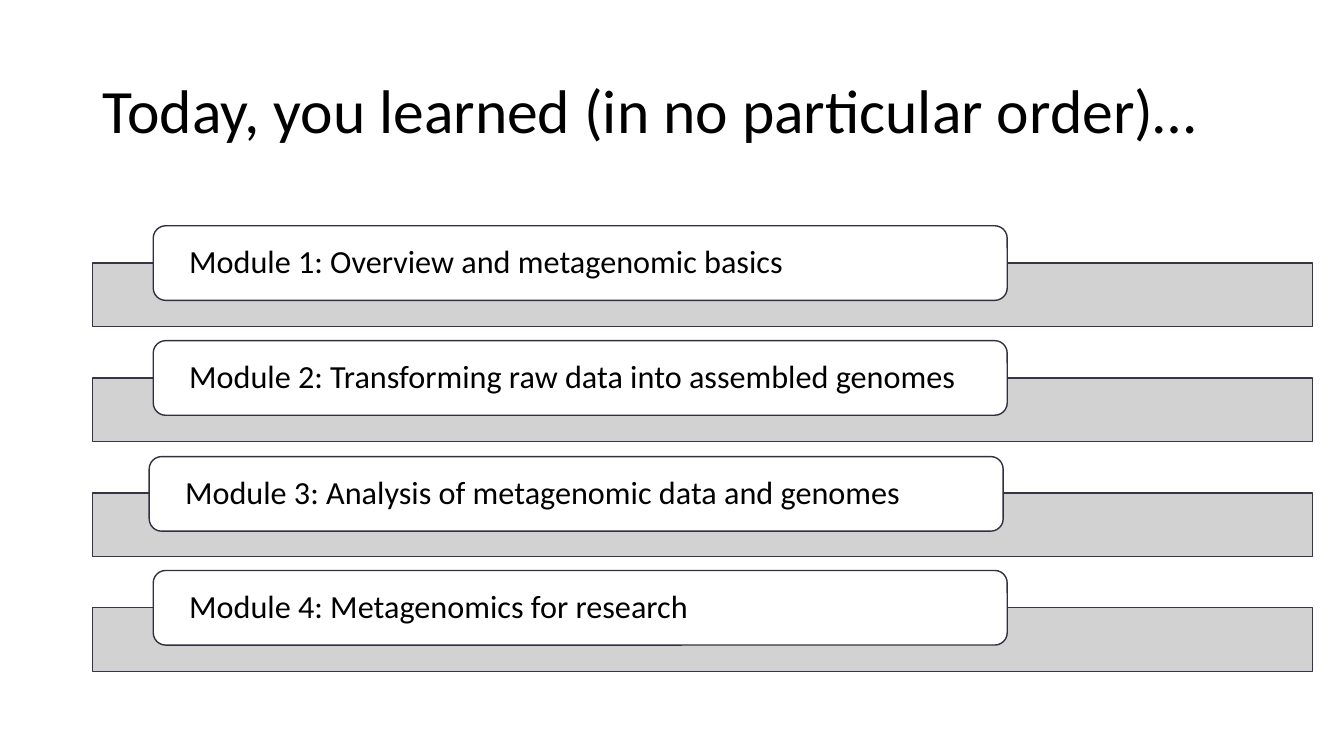
from pptx import Presentation
from pptx.dml.color import RGBColor
from pptx.enum.shapes import MSO_SHAPE as SHAPE
from pptx.enum.text import MSO_ANCHOR as ANCHOR, PP_ALIGN as ALIGN
from pptx.oxml.ns import qn
from pptx.util import Inches, Pt
from lxml.etree import SubElement

BLACK = RGBColor(0x00, 0x00, 0x00)
WHITE = RGBColor(0xFF, 0xFF, 0xFF)
BAR_GRAY = RGBColor(0xCE, 0xCE, 0xCF)
BAR_LINE = RGBColor(0x37, 0x35, 0x45)
CARD_LINE = RGBColor(0x32, 0x30, 0x3F)

MODULES = [
    ("Module 1: Overview and metagenomic basics", 1.52, 2.24),
    ("Module 2: Transforming raw data into assembled genomes", 1.52, 3.38),
    ("Module 3: Analysis of metagenomic data and genomes", 1.48, 4.53),
    ("Module 4: Metagenomics for research", 1.52, 5.66),
]
BAR_TOP = 2.61
BAR_PITCH = 1.14


class SlideBuilder:
    font = "Calibri"

    def __init__(self, prs):
        self.slide = prs.slides.add_slide(prs.slide_layouts[5])

    def set_text(self, tf, text, size):
        tf.word_wrap = True
        tf.vertical_anchor = ANCHOR.MIDDLE
        p = tf.paragraphs[0]
        p.text = text
        p.alignment = ALIGN.LEFT
        p.line_spacing = 0.9
        p.font.name = self.font
        p.font.size = Pt(size)
        p.font.color.rgb = BLACK

    def title(self, text):
        sp = self.slide.shapes.title
        sp.left, sp.top = Inches(0.92), Inches(0.4)
        sp.width, sp.height = Inches(11.5), Inches(1.45)
        self.set_text(sp.text_frame, text, 44)

    def box(self, kind, left, top, width, height, fill, line):
        sp = self.slide.shapes.add_shape(
            kind, Inches(left), Inches(top), Inches(width), Inches(height))
        sp.shadow.inherit = False
        sp.fill.solid()
        sp.fill.fore_color.rgb = fill
        sp.line.color.rgb = line
        sp.line.width = Pt(1)
        return sp

    def bar(self, top):
        sp = self.box(SHAPE.RECTANGLE, 0.92, top, 12.1, 0.63, BAR_GRAY, BAR_LINE)
        color = sp.element.spPr.find(qn("a:solidFill"))[0]
        SubElement(color, qn("a:alpha")).set("val", "90000")

    def card(self, text, left, top):
        sp = self.box(SHAPE.ROUNDED_RECTANGLE, left, top, 8.47, 0.74, WHITE, CARD_LINE)
        tf = sp.text_frame
        tf.margin_left = tf.margin_right = Inches(0.32)
        tf.margin_top = tf.margin_bottom = 0
        self.set_text(tf, text, 23)


def main():
    prs = Presentation()
    prs.slide_width, prs.slide_height = Inches(13.33), Inches(7.5)
    s = SlideBuilder(prs)
    s.title("Today, you learned (in no particular order)…")
    for i, (text, left, top) in enumerate(MODULES):
        s.bar(BAR_TOP + i * BAR_PITCH)
        s.card(text, left, top)
    prs.save("out.pptx")


if __name__ == "__main__":
    main()
